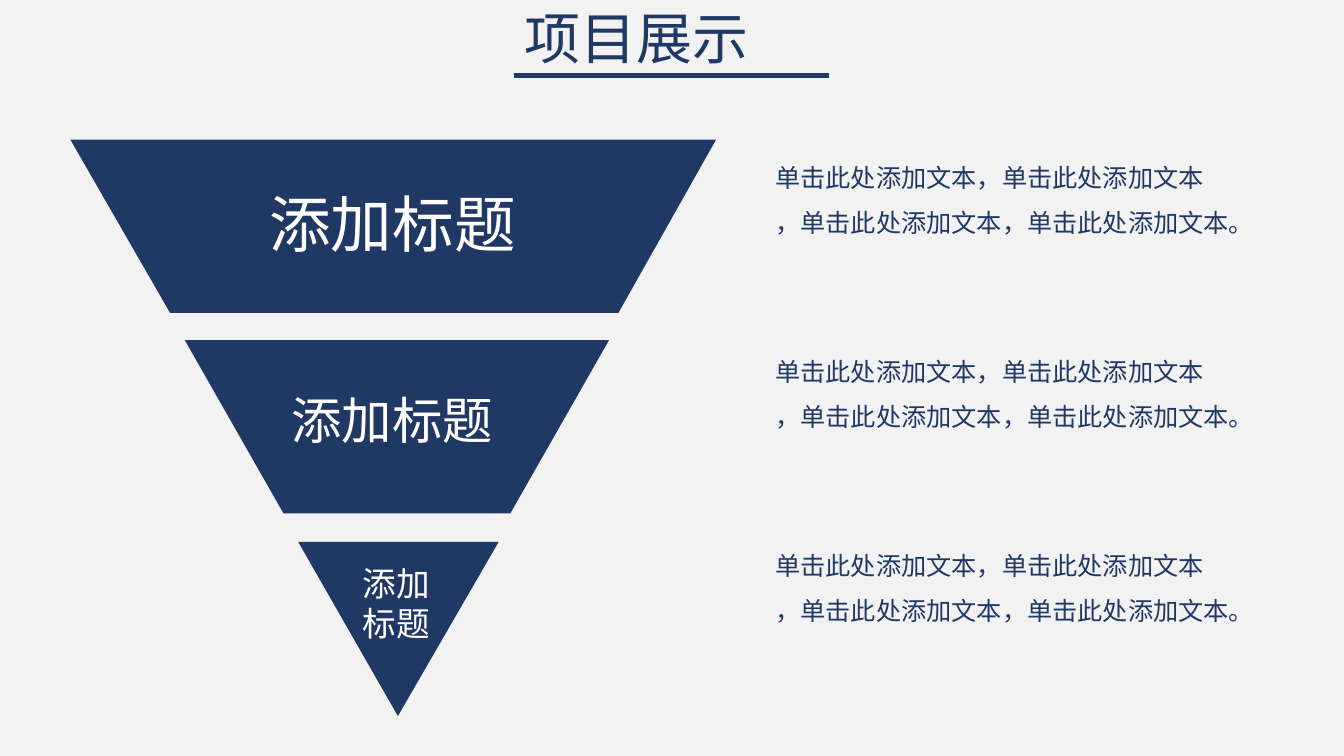
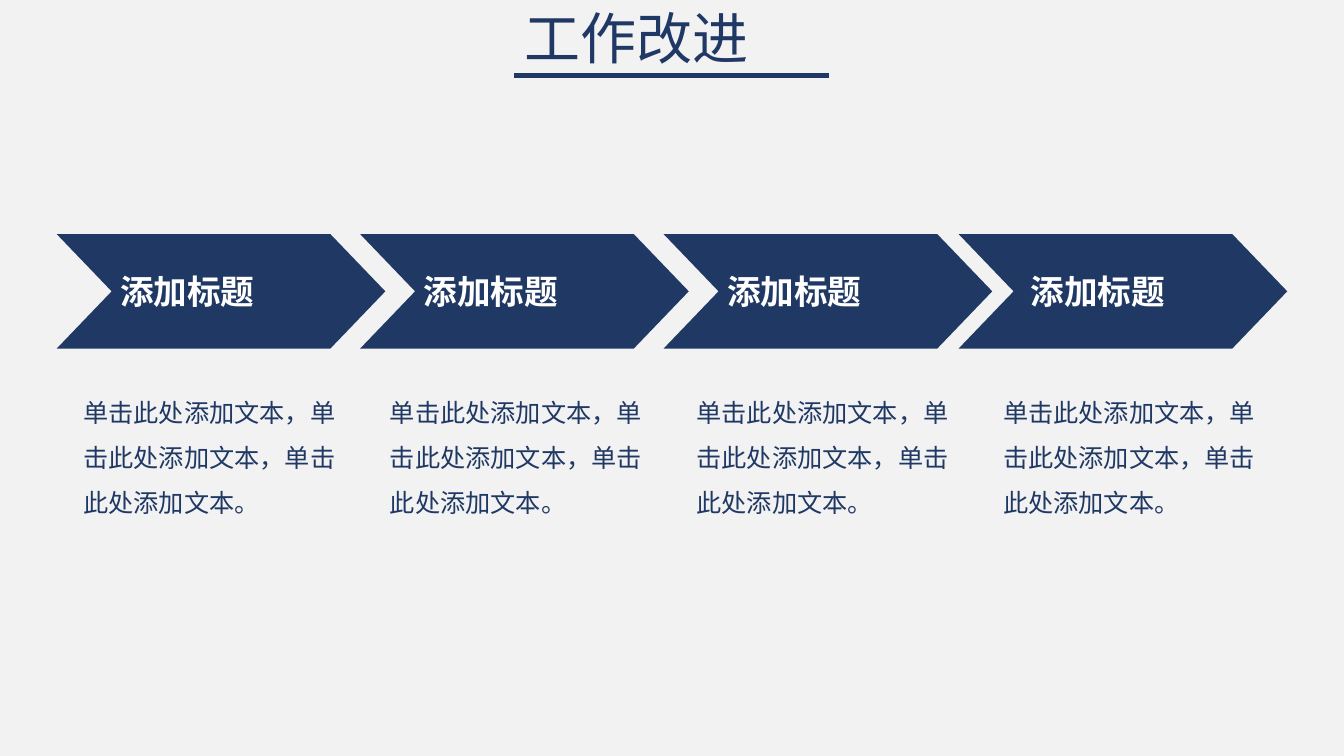
import pptx
import pptx.dml.color
import pptx.enum.shapes
import pptx.enum.text
import pptx.oxml.ns
import pptx.oxml.xmlchemy
import pptx.util

PX = 9525
COLORS = {"navy": "203864", "white": "FFFFFF", "paper": "F2F2F2"}
FONT = "Noto Sans CJK SC"
PHRASE = "单击此处添加文本"
HEADING = "添加标题"


def px(n):
    return pptx.util.Emu(n * PX)


def rgb(name):
    return pptx.dml.color.RGBColor.from_string(COLORS[name])


class Deck:
    def __init__(self):
        self.prs = pptx.Presentation()
        self.prs.slide_width, self.prs.slide_height = px(1280), px(720)
        fill = self.prs.slide_master.background.fill
        fill.solid()
        fill.fore_color.rgb = rgb("paper")
        self.s = None

    def slide(self, title):
        self.s = self.prs.slides.add_slide(self.prs.slide_layouts[6])
        self.rule(490, 790, 72)
        self.text(title, 490, 7, 300, 65, 40, middle=True, justify=True, spacing=0.9)

    def rule(self, left, right, y):
        line = self.s.shapes.add_connector(
            pptx.enum.shapes.MSO_CONNECTOR.STRAIGHT, px(left), px(y), px(right), px(y))
        line.line.color.rgb = rgb("navy")
        line.line.width = pptx.util.Pt(3)
        line._element.spPr.append(pptx.oxml.xmlchemy.OxmlElement("a:effectLst"))

    def paint(self, sp):
        sp.shadow.inherit = False
        sp.fill.solid()
        sp.fill.fore_color.rgb = rgb("navy")
        sp.line.fill.background()

    def polygon(self, points):
        builder = self.s.shapes.build_freeform(*points[0], scale=PX)
        builder.add_line_segments(points[1:], close=True)
        self.paint(builder.convert_to_shape())

    def chevron(self, left, top, width, height):
        sp = self.s.shapes.add_shape(
            pptx.enum.shapes.MSO_SHAPE.CHEVRON, px(left), px(top), px(width), px(height))
        sp.adjustments[0] = 0.48
        self.paint(sp)

    def text(self, text, left, top, width, height, size, color="navy", bold=False,
             middle=False, justify=False, wrap=True, spacing=1.0):
        sp = self.s.shapes.add_textbox(px(left), px(top), px(width), px(height))
        tf = sp.text_frame
        tf.text = text
        tf.word_wrap = wrap
        if middle:
            tf.vertical_anchor = pptx.enum.text.MSO_ANCHOR.MIDDLE
        for p in tf.paragraphs:
            p.line_spacing = spacing
            if justify:
                p.alignment = pptx.enum.text.PP_ALIGN.JUSTIFY
            for r in p.runs:
                r.font.size = pptx.util.Pt(size)
                r.font.bold = bold
                r.font.color.rgb = rgb(color)
                r.font.name = FONT
                ea = pptx.oxml.xmlchemy.OxmlElement("a:ea")
                ea.set("typeface", FONT)
                r.font._element.find(pptx.oxml.ns.qn("a:latin")).addnext(ea)


def project_slide(deck):
    deck.slide("项目展示")
    deck.polygon([(284, 516), (475, 516), (379, 682)])
    deck.polygon([(176, 324), (580, 324), (486, 489), (270, 489)])
    deck.polygon([(67, 133), (682, 133), (589, 298), (162, 298)])
    for i in range(3):
        deck.text(f"{PHRASE}，{PHRASE}\n，{PHRASE}，{PHRASE}。",
                  729, 137 + 185 * i, 551, 92, 18, middle=True, spacing=1.5)
    labels = [
        (HEADING, 247, 172, 256, 81, 44),
        (HEADING, 268, 366, 213, 68, 36),
        ("添加\n标题", 336, 531, 84, 87, 24),
    ]
    for label in labels:
        deck.text(*label, color="white", wrap=False)


def improvement_slide(deck):
    deck.slide("工作改进")
    for i, left in enumerate((54, 343, 632, 913)):
        deck.chevron(left, 223, 313, 109)
        deck.text(HEADING, 105 + 289 * i, 253, 212, 48, 24,
                  color="white", bold=True, justify=True)
        deck.text(f"{PHRASE}，{PHRASE}，{PHRASE}。",
                  70 + 292 * i, 359, 275, 136, 18, spacing=1.5)


def main():
    deck = Deck()
    project_slide(deck)
    improvement_slide(deck)
    deck.prs.save("out.pptx")


if __name__ == "__main__":
    main()
